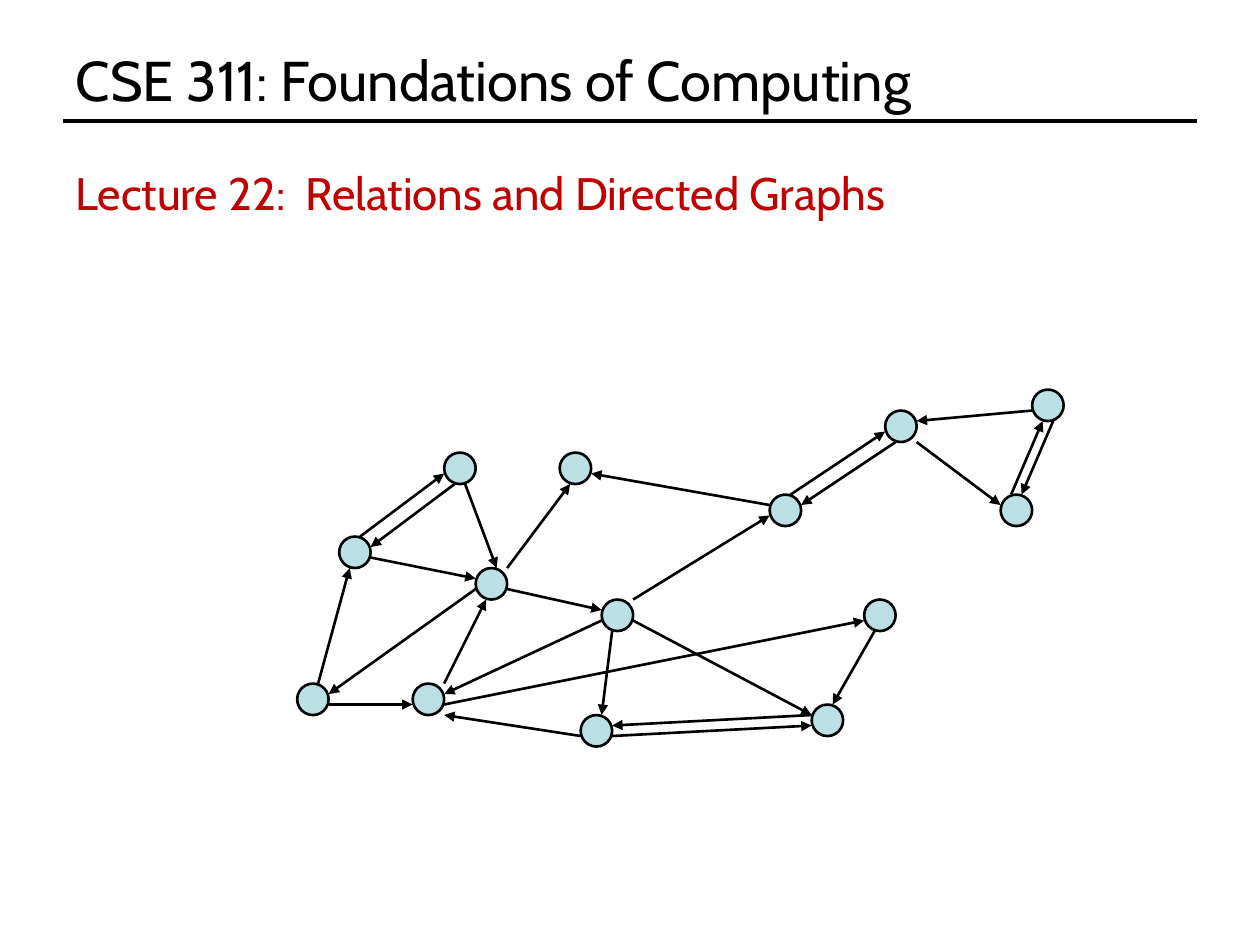
from dataclasses import dataclass

from lxml.etree import SubElement
from pptx import Presentation
from pptx.dml.color import RGBColor
from pptx.enum.shapes import MSO_CONNECTOR, MSO_SHAPE
from pptx.enum.text import MSO_ANCHOR, PP_ALIGN
from pptx.oxml.ns import qn
from pptx.util import Pt

PX = 914400 // 120
CELL = 10
LEFT, TOP = 283, 371
SIDE = 3

NODES = {
    "A": (4, 14), "B": (29, 20), "C": (0, 28), "D": (45, 10), "E": (17, 17),
    "F": (11, 28), "G": (27, 31), "H": (25, 6), "I": (56, 2), "J": (54, 20),
    "K": (14, 6), "L": (49, 30), "M": (70, 0), "N": (67, 10),
}

EDGES = [
    ("E", (0, 2), "C", (3, 1)), ("F", (3, 0), "E", (1, 3)),
    ("C", (3, 2), "F", (0, 2)), ("C", (2, 0), "A", (1, 3)),
    ("A", (2, 0), "K", (0, 2)), ("A", (3, 2), "E", (0, 1)),
    ("K", (2, 3), "E", (2, 0)), ("E", (3, 0), "H", (1, 3)),
    ("E", (3, 2), "B", (0, 1)), ("B", (0, 2), "F", (3, 1)),
    ("F", (3, 2), "J", (0, 2)), ("G", (0, 2), "F", (3, 3)),
    ("B", (1, 3), "G", (2, 0)), ("L", (0, 1), "G", (3, 1)),
    ("J", (1, 3), "L", (2, 0)), ("B", (3, 2), "L", (0, 1)),
    ("B", (3, 0), "D", (0, 2)), ("D", (0, 1), "H", (3, 2)),
    ("I", (1, 3), "D", (3, 1)), ("I", (3, 3), "N", (0, 1)),
    ("M", (0, 2), "I", (3, 1)), ("M", (2, 3), "N", (2, 0)),
    ("D", (2, 0), "I", (0, 2)), ("N", (1, 0), "M", (1, 3)),
    ("G", (3, 2), "L", (0, 2)), ("K", (1, 3), "A", (3, 1)),
]


@dataclass(frozen=True)
class Theme:
    font: str = "Cabin"
    ink: RGBColor = RGBColor(0, 0, 0)
    accent: RGBColor = RGBColor(0xC0, 0, 0)
    node: RGBColor = RGBColor(0xBB, 0xE0, 0xE3)
    title: int = 32
    topic: int = 26
    rule: float = 2
    edge: float = 1.5


THEME = Theme()


def px(*vals):
    return [val * PX for val in vals]


def spot(name, port=(0, 0)):
    col, row = NODES[name]
    return LEFT + (col + port[0]) * CELL, TOP + (row + port[1]) * CELL


def write(shape, text, size, color):
    frame = shape.text_frame
    frame.word_wrap = True
    frame.vertical_anchor = MSO_ANCHOR.MIDDLE
    para = frame.paragraphs[0]
    para.alignment = PP_ALIGN.LEFT
    run = para.add_run()
    run.text = text
    run.font.name = THEME.font
    run.font.size = Pt(size)
    run.font.color.rgb = color


def add_title(slide, text):
    title = slide.shapes.title
    title.left, title.top, title.width, title.height = px(60, 36, 1080, 79)
    write(title, text, THEME.title, THEME.ink)


def add_topic(slide, text):
    box = slide.shapes.add_textbox(*px(60, 151, 1112, 65))
    write(box, text, THEME.topic, THEME.accent)


def add_line(slide, start, end, width, arrow=False):
    line = slide.shapes.add_connector(MSO_CONNECTOR.STRAIGHT, *px(*start, *end))
    line.line.color.rgb = THEME.ink
    line.line.width = Pt(width)
    if arrow:
        SubElement(line.line._get_or_add_ln(), qn("a:tailEnd"), type="triangle")
    SubElement(line._element.spPr, qn("a:effectLst"))


def add_node(slide, name):
    size = SIDE * CELL
    node = slide.shapes.add_shape(MSO_SHAPE.OVAL, *px(*spot(name), size, size))
    node.shadow.inherit = False
    node.fill.solid()
    node.fill.fore_color.rgb = THEME.node
    node.line.color.rgb = THEME.ink
    node.line.width = Pt(THEME.edge)


def add_graph(slide):
    for name in NODES:
        add_node(slide, name)
    for tail, out, head, port in EDGES:
        add_line(slide, spot(tail, out), spot(head, port), THEME.edge, arrow=True)


def main():
    deck = Presentation()
    deck.slide_width, deck.slide_height = px(1200, 900)
    slide = deck.slides.add_slide(deck.slide_layouts[5])
    add_line(slide, (60, 115), (1140, 115), THEME.rule)
    add_title(slide, "CSE 311: Foundations of Computing")
    add_topic(slide, "Lecture 22:  Relations and Directed Graphs")
    add_graph(slide)
    deck.save("out.pptx")


if __name__ == "__main__":
    main()
